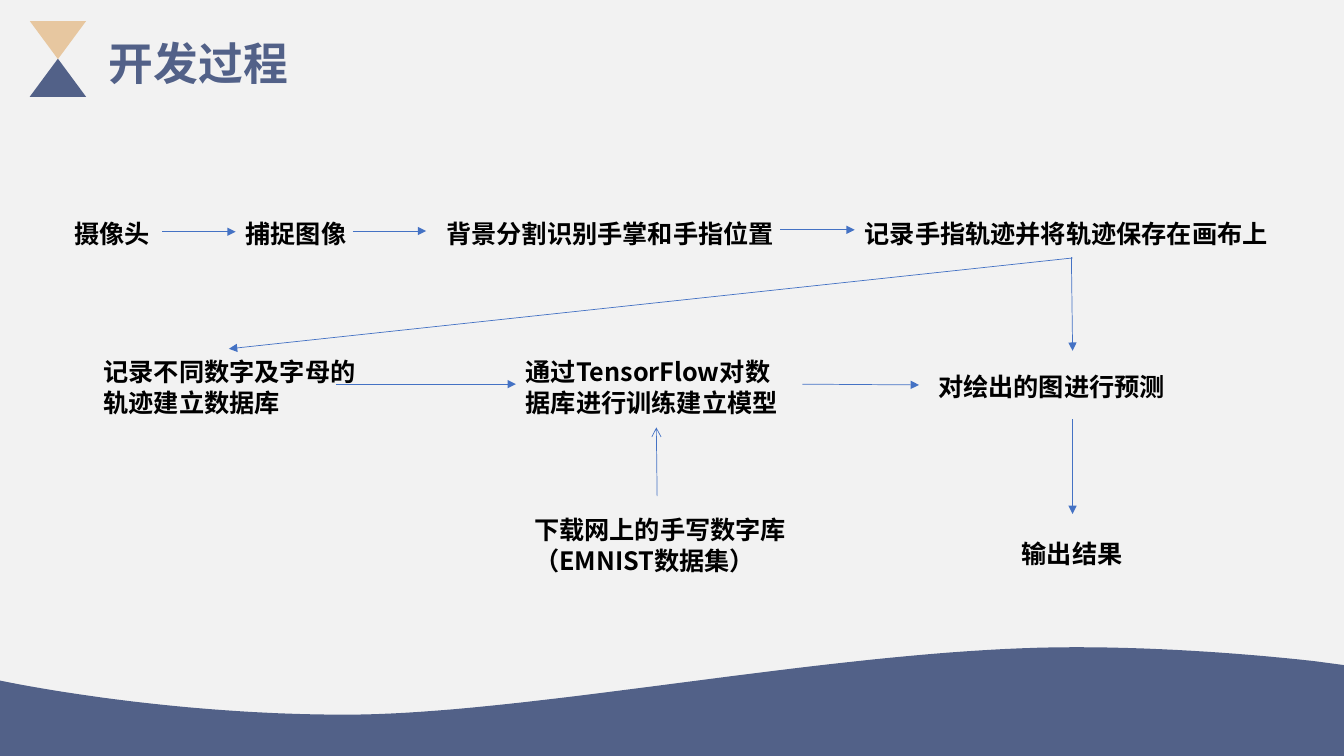
import pptx
import pptx.util
import pptx.dml.color
import pptx.enum.shapes
import pptx.oxml
import pptx.oxml.ns

Cm = pptx.util.Cm
Pt = pptx.util.Pt
RGB = pptx.dml.color.RGBColor
SHAPE = pptx.enum.shapes.MSO_SHAPE
LINE = pptx.enum.shapes.MSO_CONNECTOR

NAVY = RGB(0x52, 0x61, 0x88)
SAND = RGB(0xE7, 0xC7, 0xA0)
BLUE = RGB(0x44, 0x72, 0xC4)
GREY = RGB(0xF2, 0xF2, 0xF2)
BLACK = RGB(0, 0, 0)
FONT = "Noto Sans CJK SC"
ROW = 5.31
NEXT = 8.79
ONE = 1.02
TWO = 1.8


def add_node(parent, tag, **attrs):
    """Append an empty drawing element to a parent."""
    node = pptx.oxml.parse_xml(f"<a:{tag} {pptx.oxml.ns.nsdecls('a')}/>")
    for key, value in attrs.items():
        node.set(key, value)
    parent.append(node)


def curve(start, pull, push, end, steps=40):
    """Return points along a cubic curve, without its start."""
    points = []
    for step in range(1, steps + 1):
        t = step / steps
        u = 1 - t
        points.append(tuple(
            u**3 * a + 3 * u * u * t * b + 3 * u * t * t * c + t**3 * d
            for a, b, c, d in zip(start, pull, push, end)))
    return points


class Deck:
    """Holds the style and the current slide."""

    def __init__(self):
        """Open a wide deck with one blank slide."""
        self.file = pptx.Presentation()
        self.file.slide_width = Cm(33.87)
        self.file.slide_height = Cm(19.05)
        self.slide = self.file.slides.add_slide(self.file.slide_layouts[6])
        fill = self.slide.background.fill
        fill.solid()
        fill.fore_color.rgb = GREY
        self.shapes = self.slide.shapes

    def paint(self, shape, color):
        """Give a shape a flat fill with no line or shadow."""
        shape.shadow.inherit = False
        shape.fill.solid()
        shape.fill.fore_color.rgb = color
        shape.line.fill.background()

    def cone(self, top, color, turn=0):
        """Draw one half of the hourglass."""
        shape = self.shapes.add_shape(
            SHAPE.ISOSCELES_TRIANGLE, Cm(0.75), Cm(top), Cm(1.42), Cm(0.96))
        shape.rotation = turn
        self.paint(shape, color)

    def wave(self, points):
        """Draw the closed band along the foot of the slide."""
        spots = [(Cm(x), Cm(y)) for x, y in points]
        pen = self.shapes.build_freeform(*spots[0])
        pen.add_line_segments(spots[1:], close=True)
        self.paint(pen.convert_to_shape(), NAVY)

    def label(self, text, left, top, width, height, size=18, color=BLACK):
        """Write one bold paragraph with tight lines."""
        box = self.shapes.add_textbox(
            Cm(left), Cm(top), Cm(width), Cm(height))
        frame = box.text_frame
        frame.word_wrap = True
        frame.margin_top = Cm(0.13 + size / 450)
        frame.text = text
        para = frame.paragraphs[0]
        para.line_spacing = Pt(round(size * 1.2))
        font = para.runs[0].font
        font.size = Pt(size)
        font.bold = True
        font.name = FONT
        font.color.rgb = color
        add_node(para.runs[0]._r.get_or_add_rPr(), "ea", typeface=FONT)

    def arrow(self, start, end, head="triangle"):
        """Draw a thin arrow between two points."""
        link = self.shapes.add_connector(
            LINE.STRAIGHT, *(Cm(v) for v in start + end))
        link.line.color.rgb = BLUE
        link.line.width = Pt(0.5)
        add_node(link.line._get_or_add_ln(), "tailEnd", type=head)
        add_node(link._element.spPr, "effectLst")


LABELS = [
    ("摄像头", 1.63, ROW, 2.92, ONE),
    ("捕捉图像", 5.94, ROW, 4.37, ONE),
    ("背景分割识别手掌和手指位置", 11, ROW, 9.88, ONE),
    ("记录手指轨迹并将轨迹保存在画布上", 21.54, ROW, 11.43, ONE),
    ("记录不同数字及字母的轨迹建立数据库", 2.36, NEXT, 6.86, TWO),
    ("通过TensorFlow对数据库进行训练建立模型", 13, NEXT, 7.21, TWO),
    ("对绘出的图进行预测", 23.39, 9.17, 6.73, ONE),
    ("输出结果", 25.5, 13.39, 3.1, ONE),
    ("下载网上的手写数字库（EMNIST数据集）", 13.21, 12.78, 6.86, TWO),
]
ARROWS = [
    ((4.09, 5.84), (5.94, 5.84)),
    ((8.89, 5.82), (10.74, 5.82)),
    ((19.66, 5.79), (21.54, 5.79)),
    ((27.03, 6.5), (5.77, 8.79)),
    ((27, 6.48), (27.03, 8.84)),
    ((8.48, 9.68), (13, 9.68)),
    ((20.22, 9.68), (23.16, 9.7)),
    ((27.03, 10.57), (27.03, 12.95)),
    ((16.56, 12.5), (16.54, 10.77), "arrow"),
]
CREST = (27.05, 16.31)
DIP = (8.71, 18.01)
EDGE = (0, 17.15)
BEND = (33.12, 16.66)

deck = Deck()
deck.cone(1.48, NAVY)
deck.cone(0.53, SAND, 180)
deck.label("开发过程", 2.49, 0.71, 6.15, 3, 32, NAVY)
deck.wave(
    [CREST]
    + curve(CREST, (21.34, 16.31), (13.41, 18.01), DIP)
    + curve(DIP, (3.99, 18.01), EDGE, EDGE)
    + [(0, 19.12), (33.87, 19.12), (33.87, 16.76), BEND]
    + curve(BEND, (31.29, 16.46), (29.18, 16.31), CREST))
for item in LABELS:
    deck.label(*item)
for item in ARROWS:
    deck.arrow(*item)
deck.file.save("out.pptx")
